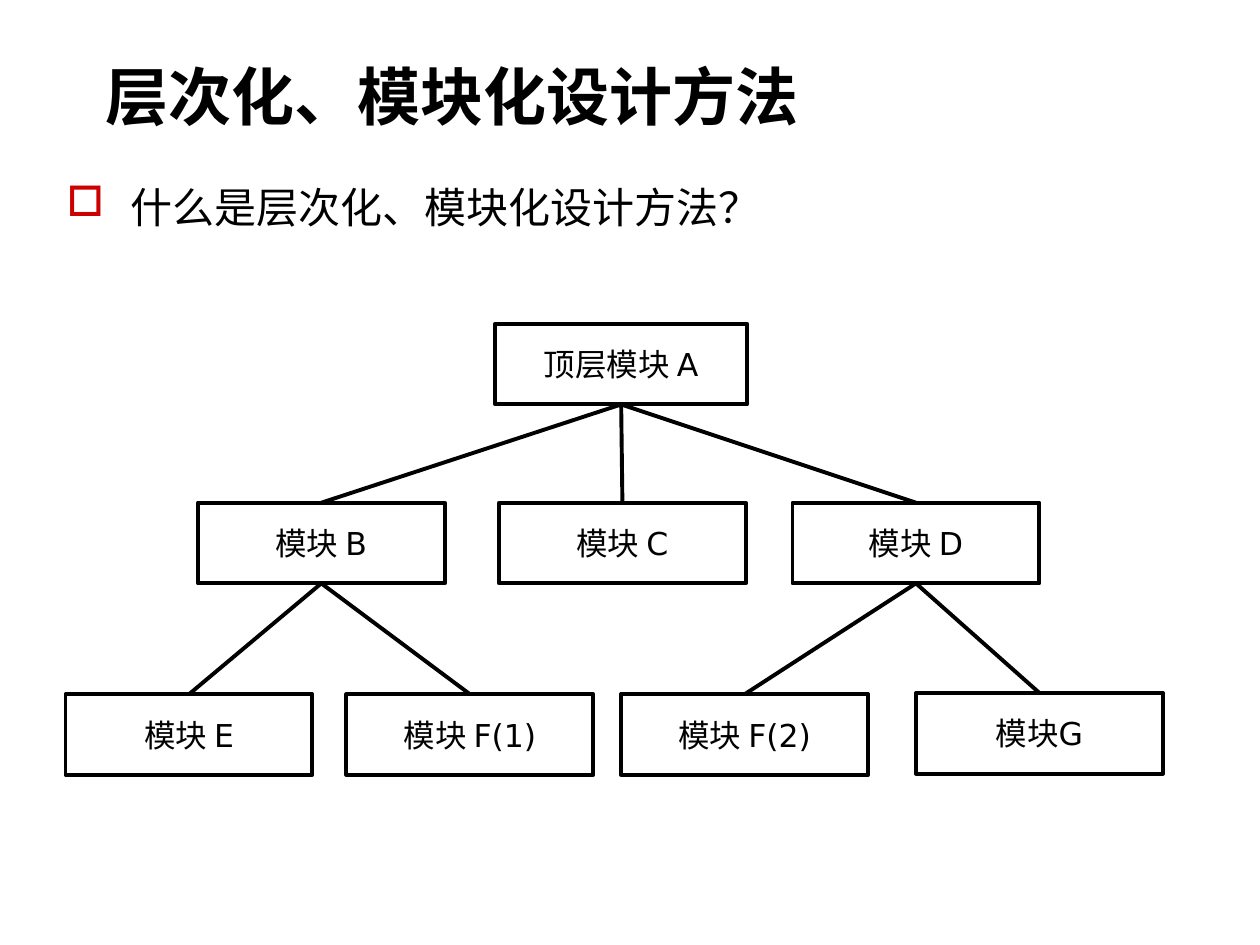
from lxml import etree
from pptx import Presentation
from pptx.dml.color import RGBColor
from pptx.enum.shapes import MSO_CONNECTOR, MSO_SHAPE
from pptx.enum.text import MSO_ANCHOR, PP_ALIGN
from pptx.oxml.ns import qn
from pptx.util import Inches, Pt

STRAIGHT = MSO_CONNECTOR.STRAIGHT
RECTANGLE = MSO_SHAPE.RECTANGLE
BOTTOM, MIDDLE, TOP = MSO_ANCHOR.BOTTOM, MSO_ANCHOR.MIDDLE, MSO_ANCHOR.TOP
LEFT, CENTER = PP_ALIGN.LEFT, PP_ALIGN.CENTER

# Content
TITLE = "层次化、模块化设计方法"
QUESTION = "什么是层次化、模块化设计方法？"
# Module: label, left, top, width
MODULES = {
    "A": ("顶层模块 A", 3.93, 2.57, 2),
    "B": ("模块 B", 1.57, 3.99, 1.96),
    "C": ("模块 C", 3.96, 3.99, 1.96),
    "D": ("模块 D", 6.29, 3.99, 1.96),
    "E": ("模块 E", 0.52, 5.51, 1.96),
    "F1": ("模块 F(1)", 2.75, 5.51, 1.96),
    "F2": ("模块 F(2)", 4.93, 5.51, 1.96),
    "G": ("模块G", 7.27, 5.5, 1.96),
}
CHILDREN = {"A": "B C D", "B": "E F1", "D": "F2 G"}
MODULE_HEIGHT = 0.64

THEME = {
    "font": "DejaVu Sans",
    "ink": RGBColor(0, 0, 0),
    "paper": RGBColor(255, 255, 255),
    "bullet": "CC0000",
    "title_size": 36,
    "body_size": 24,
    "module_size": 18,
    "line_width": Pt(2.25),
}


def write_text(shape, text, size, bold=False, align=LEFT, anchor=TOP,
               left_margin=0.1, bullet=None, indent=0.51):
    frame = shape.text_frame
    frame.word_wrap = True
    frame.vertical_anchor = anchor
    frame.margin_left, frame.margin_right = Inches(left_margin), Inches(0.1)
    frame.margin_top = frame.margin_bottom = Inches(0.05)
    paragraph = frame.paragraphs[0]
    paragraph.alignment = align
    if bullet:
        properties = paragraph._p.get_or_add_pPr()
        properties.set("marL", str(Inches(indent)))
        properties.set("indent", str(-Inches(indent)))
        color = etree.SubElement(properties, qn("a:buClr"))
        etree.SubElement(color, qn("a:srgbClr"), val=THEME["bullet"])
        etree.SubElement(properties, qn("a:buChar"), char=bullet)
    run = paragraph.add_run()
    run.text = text
    run.font.name = THEME["font"]
    run.font.size = Pt(size)
    run.font.bold = bold
    run.font.color.rgb = THEME["ink"]


def style_line(line):
    line.color.rgb = THEME["ink"]
    line.width = THEME["line_width"]


def add_module(slide, label, left, top, width):
    shape = slide.shapes.add_shape(RECTANGLE, Inches(left), Inches(top),
                                   Inches(width), Inches(MODULE_HEIGHT))
    shape.shadow.inherit = False
    shape.fill.solid()
    shape.fill.fore_color.rgb = THEME["paper"]
    style_line(shape.line)
    write_text(shape, label, THEME["module_size"], align=CENTER, anchor=MIDDLE)
    return shape


def add_link(slide, parent, child):
    connector = slide.shapes.add_connector(
        STRAIGHT,
        parent.left + parent.width // 2, parent.top + parent.height,
        child.left + child.width // 2, child.top)
    style_line(connector.line)
    etree.SubElement(connector._element.spPr, qn("a:effectLst"))


def main():
    presentation = Presentation()
    presentation.slide_width, presentation.slide_height = Inches(10), Inches(7.5)
    slide = presentation.slides.add_slide(presentation.slide_layouts[5])

    # Title and question
    title = slide.shapes.title
    title.left, title.top = Inches(0.63), Inches(0.28)
    title.width, title.height = Inches(8.75), Inches(0.83)
    write_text(title, TITLE, THEME["title_size"], bold=True, anchor=BOTTOM,
               left_margin=0.21)
    question = slide.shapes.add_textbox(Inches(0.43), Inches(1.39),
                                        Inches(9.23), Inches(0.61))
    write_text(question, QUESTION, THEME["body_size"], bullet="□")

    # Module tree
    boxes = {key: add_module(slide, *module) for key, module in MODULES.items()}
    for parent, children in CHILDREN.items():
        for child in children.split():
            add_link(slide, boxes[parent], boxes[child])

    presentation.save("out.pptx")


if __name__ == "__main__":
    main()
